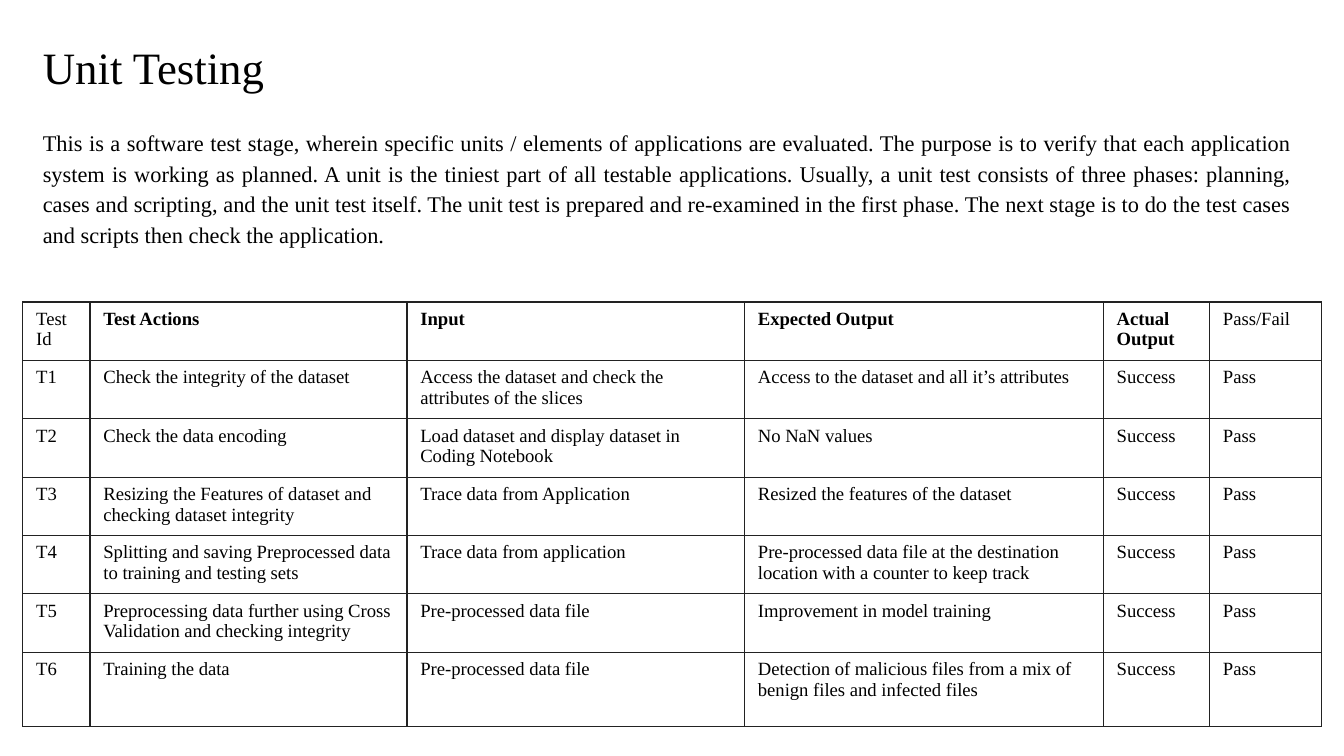
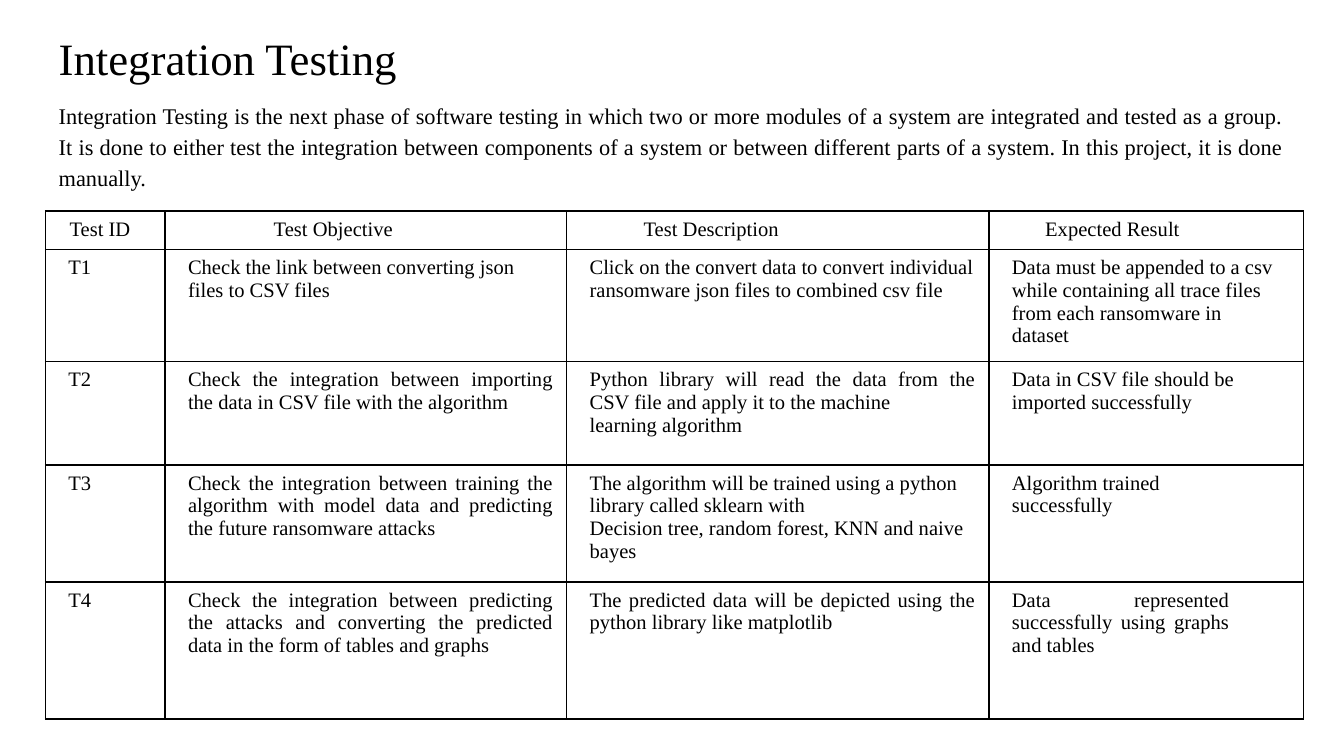
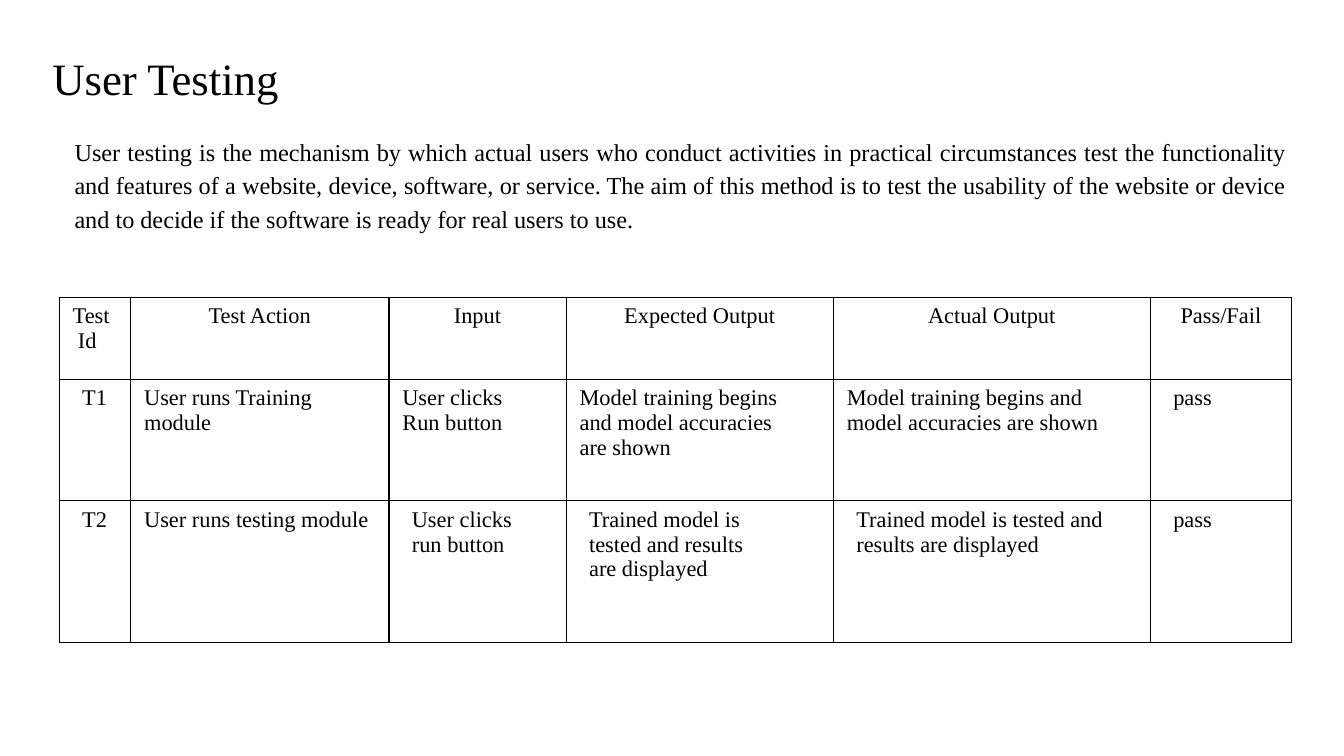
from pptx import Presentation
from pptx import util as u
from pptx.dml.color import RGBColor
from pptx.enum import text
from pptx.oxml import parse_xml
from pptx.oxml.ns import nsdecls

Cm, Pt = u.Cm, u.Pt
ALIGN = text.PP_ALIGN

FONT = "Times New Roman"
BLACK = RGBColor(0x00, 0x00, 0x00)
CHARCOAL = RGBColor(0x22, 0x22, 0x22)
WHITE = RGBColor(0xFF, 0xFF, 0xFF)
TITLE_SIZE = 24
BORDER_WIDTH = Pt(0.75)
INSET = Cm(0.25)
CELL_INDENT = 0.18

UNIT_TESTS = [
    ("Test Id", "Test Actions", "Input", "Expected Output", "Actual Output", "Pass/Fail"),
    ("T1", "Check the integrity of the dataset",
     "Access the dataset and check the attributes of the slices",
     "Access to the dataset and all it’s attributes", "Success", "Pass"),
    ("T2", "Check the data encoding",
     "Load dataset and display dataset in Coding Notebook",
     "No NaN values", "Success", "Pass"),
    ("T3", "Resizing the Features of dataset and checking dataset integrity",
     "Trace data from Application",
     "Resized the features of the dataset", "Success", "Pass"),
    ("T4", "Splitting and saving Preprocessed data to training and testing sets",
     "Trace data from application",
     "Pre-processed data file at the destination location with a counter to keep track",
     "Success", "Pass"),
    ("T5", "Preprocessing data further using Cross Validation and checking integrity",
     "Pre-processed data file", "Improvement in model training", "Success", "Pass"),
    ("T6", "Training the data", "Pre-processed data file",
     "Detection of malicious files from a mix of benign files and infected files",
     "Success", "Pass"),
]

INTEGRATION_TESTS = [
    ("Test ID", "Test Objective", "Test Description", "Expected Result"),
    ("T1", "Check the link between converting json files to CSV files",
     "Click on the convert data to convert individual ransomware json files "
     "to combined csv file",
     "Data must be appended to a csv while containing all trace files "
     "from each ransomware in dataset"),
    ("T2", "Check the integration between importing the data in CSV file with the algorithm",
     "Python library will read the data from the CSV file and apply it to the machine\n"
     "learning algorithm",
     "Data in CSV file should be imported successfully"),
    ("T3", "Check the integration between training the algorithm with model data "
     "and predicting the future ransomware attacks",
     "The algorithm will be trained using a python library called sklearn with\n"
     "Decision tree, random forest, KNN and naive bayes",
     "Algorithm trained successfully"),
    ("T4", "Check the integration between predicting the attacks and converting "
     "the predicted data in the form of tables and graphs",
     "The predicted data will be depicted using the python library like matplotlib",
     "Data represented successfully using graphs and tables"),
]

USER_TESTS = [
    ("Test\nId", "Test Action", "Input", "Expected Output", "Actual Output", "Pass/Fail"),
    ("T1", "User runs Training module", "User clicks Run button",
     "Model training begins and model accuracies are shown",
     "Model training begins and model accuracies are shown", "pass"),
    ("T2", "User runs testing module", "User clicks run button",
     "Trained model is tested and results are displayed",
     "Trained model is tested and results are displayed", "pass"),
]


def format_text(tf, size):
    for p in tf.paragraphs:
        for r in p.runs:
            r.font.name = FONT
            r.font.size = Pt(size)
            r.font.color.rgb = BLACK


def indent_paragraph(p, cm):
    pPr = p._p.get_or_add_pPr()
    pPr.set("marL", str(Cm(cm)))
    pPr.set("indent", "0")


def add_text(s, content, left, top, width, height, size):
    tf = s.shapes.add_textbox(Cm(left), Cm(top), Cm(width), Cm(height)).text_frame
    tf.word_wrap = True
    tf.margin_left = tf.margin_right = tf.margin_top = tf.margin_bottom = INSET
    tf.text = content
    format_text(tf, size)
    return tf


def add_title(s, content, left, top, height):
    add_text(s, content, left, top, 23.67, height, TITLE_SIZE)


def add_body(s, content, left, top, width, height, size=12, indent=0):
    p = add_text(s, content, left, top, width, height, size).paragraphs[0]
    p.alignment = ALIGN.JUSTIFY
    p.line_spacing = 1.15
    indent_paragraph(p, indent)


def set_borders(cell, color):
    tcPr = cell._tc.get_or_add_tcPr()
    for side in "LRTB":
        tcPr.append(parse_xml(
            f'<a:ln{side} {nsdecls("a")} w="{BORDER_WIDTH}"><a:solidFill>'
            f'<a:srgbClr val="{color}"/></a:solidFill></a:ln{side}>'))


def add_test_table(s, data, left, top, widths, heights, size, border=BLACK):
    table = s.shapes.add_table(len(heights), len(widths), Cm(left), Cm(top),
                               Cm(sum(widths)), Cm(sum(heights))).table
    table.first_row = table.horz_banding = False
    for column, width in zip(table.columns, widths):
        column.width = Cm(width)
    for row, height, contents in zip(table.rows, heights, data):
        row.height = Cm(height)
        for cell, content in zip(row.cells, contents):
            cell.text_frame.text = content
            format_text(cell.text_frame, size)
            set_borders(cell, border)
            cell.fill.solid()
            cell.fill.fore_color.rgb = WHITE
    return table


def set_cell(cell, align=None, indent=None, right=None):
    """Change alignment, left indent or right margin (in cm) of one cell."""
    for p in cell.text_frame.paragraphs:
        if align is not None:
            p.alignment = align
        if indent is not None:
            indent_paragraph(p, indent)
    if right is not None:
        cell.margin_right = Cm(right)


def unit_testing(s):
    add_title(s, "Unit Testing", 0.56, 0.51, 1.6)
    table = add_test_table(s, UNIT_TESTS, 0.43, 5.71,
                           [1.27, 5.99, 6.38, 6.78, 2.01, 2.11],
                           [1.08] * 6 + [1.4], 10, CHARCOAL)
    for col in range(1, 5):
        table.cell(0, col).text_frame.paragraphs[0].runs[0].font.bold = True
    add_body(s, "This is a software test stage, wherein specific units / elements of "
             "applications are evaluated. The purpose is to verify that each application "
             "system is working as planned. A unit is the tiniest part of all testable "
             "applications. Usually, a unit test consists of three phases: planning, cases "
             "and scripting, and the unit test itself. The unit test is prepared and "
             "re-examined in the first phase. The next stage is to do the test cases and "
             "scripts then check the application.", 0.56, 2.11, 24.13, 3.45)


def integration_testing(s):
    add_title(s, "Integration Testing", 0.86, 0.33, 1.55)
    add_body(s, "Integration Testing is the next phase of software testing in which two or "
             "more modules of a system are integrated and tested as a group. It is done to "
             "either test the integration between components of a system or between "
             "different parts of a system. In this project, it is done manually.",
             0.86, 1.6, 23.67, 11.18)
    table = add_test_table(s, INTEGRATION_TESTS, 0.86, 3.99, [2.26, 7.59, 7.98, 5.94],
                           [0.71, 1.96, 1.96, 2.21, 2.59], 11)
    for col, indent in enumerate([0.2, 1.8, 1.2, 0.81]):
        set_cell(table.cell(0, col), indent=indent)
        for row in range(1, 5):
            set_cell(table.cell(row, col), indent=CELL_INDENT)
    for row, col in [(2, 1), (3, 1), (4, 1), (2, 2), (4, 2), (4, 3)]:
        set_cell(table.cell(row, col), align=ALIGN.JUSTIFY)
    for row, right in [(1, 0.5), (3, 1.4), (4, 1.4)]:
        set_cell(table.cell(row, 3), right=right)


def user_testing(s):
    add_title(s, "User Testing", 0.74, 0.71, 1.42)
    add_body(s, "User testing is the mechanism by which actual users who conduct activities "
             "in practical circumstances test the functionality and features of a website, "
             "device, software, or service. The aim of this method is to test the usability "
             "of the website or device and to decide if the software is ready for real "
             "users to use.", 0.86, 2.26, 23.67, 2.95, size=13, indent=0.3)
    table = add_test_table(s, USER_TESTS, 1.12, 5.62, [1.35, 4.88, 3.35, 5.05, 5.99, 2.67],
                           [1.55, 2.29, 2.69], 12)
    indent_paragraph(table.cell(0, 0).text_frame.paragraphs[1], 0.1)
    for col in range(1, 6):
        set_cell(table.cell(0, col), align=ALIGN.CENTER)
    for row, col in [(1, 0), (1, 5), (2, 0), (2, 2), (2, 3), (2, 4), (2, 5)]:
        set_cell(table.cell(row, col), indent=CELL_INDENT)
    for row, col, right in [(1, 2, 0.6), (2, 2, 0.6), (1, 3, 0.7), (2, 3, 1.2), (1, 4, 0.5)]:
        set_cell(table.cell(row, col), right=right)


def main():
    prs = Presentation()
    prs.slide_width, prs.slide_height = Cm(25.4), Cm(14.29)
    for build in (unit_testing, integration_testing, user_testing):
        build(prs.slides.add_slide(prs.slide_layouts[6]))
    prs.save("out.pptx")


if __name__ == "__main__":
    main()
